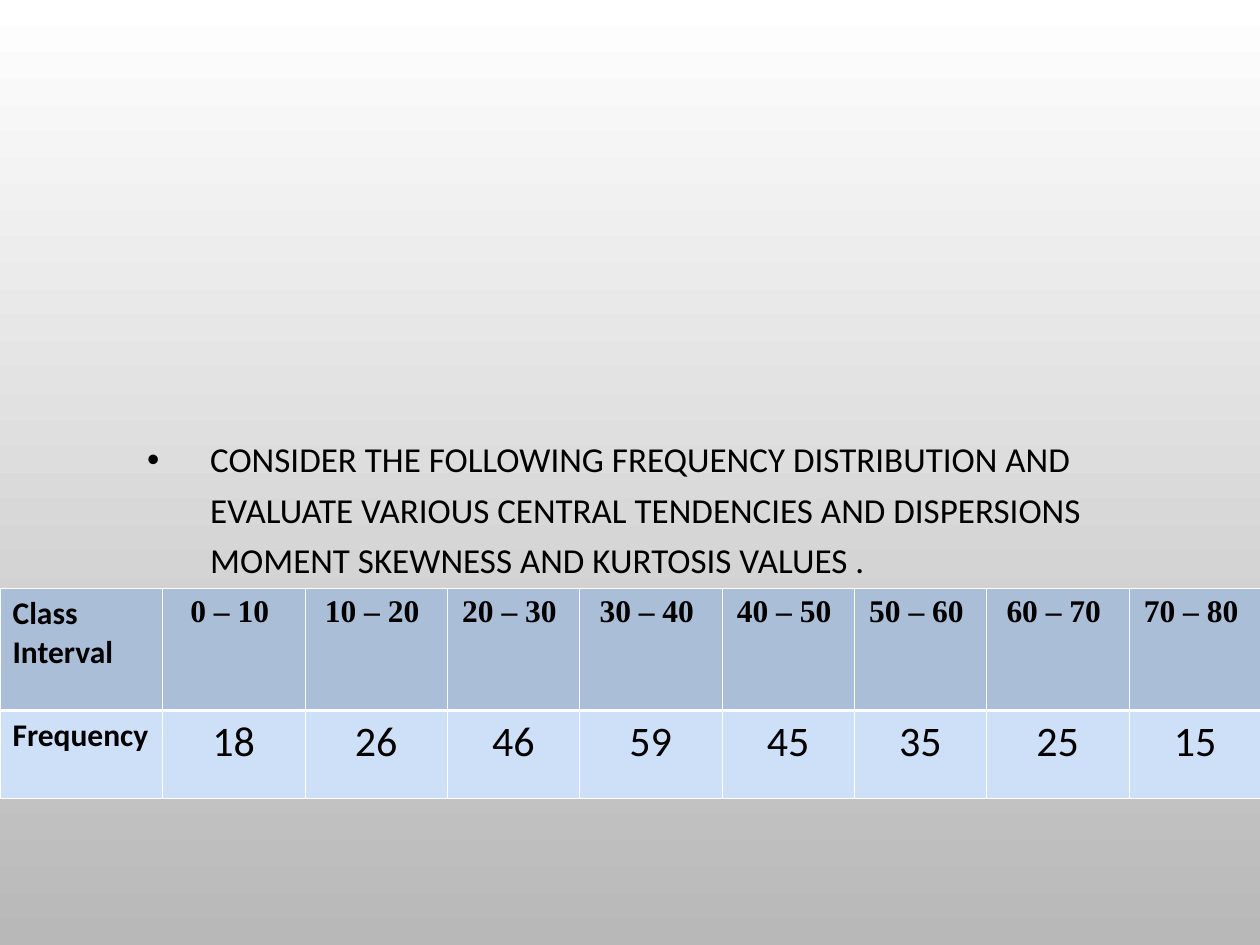
from dataclasses import dataclass

import pptx
import pptx.dml.color
import pptx.enum.text
import pptx.oxml
import pptx.oxml.ns
import pptx.util
from pptx.util import Inches

ALIGN = pptx.enum.text.PP_ALIGN
ANCHOR = pptx.enum.text.MSO_ANCHOR


@dataclass(frozen=True)
class Theme:
    ink: str = "000000"
    border: str = "FFFFFF"
    backdrop: tuple = ("FFFFFF", "B8B8B8")
    header_fill: str = "AABED7"
    body_fill: str = "CDE0F8"
    sans: str = "Calibri"
    serif: str = "Times New Roman"
    question_size: int = 20
    label_size: int = 18
    count_size: int = 24
    thin: float = 0.45
    thick: float = 1.47


@dataclass(frozen=True)
class TextStyle:
    font: str
    size: int
    bold: bool = False


@dataclass(frozen=True)
class TableRow:
    label: str
    values: list
    value_style: TextStyle
    fill: str
    height: float
    heavy_side: str


THEME = Theme()
LABEL = TextStyle(THEME.sans, THEME.label_size, True)
QUESTION = ("CONSIDER THE FOLLOWING FREQUENCY DISTRIBUTION AND EVALUATE VARIOUS "
            "CENTRAL TENDENCIES AND DISPERSIONS MOMENT SKEWNESS AND KURTOSIS VALUES .")
COLUMN_WIDTHS = [1.29, 1.13, 1.13, 1.05, 1.13, 1.05, 1.05, 1.13, 1.05]
ROWS = [
    TableRow("Class Interval", [f"{low} – {low + 10} " for low in range(0, 80, 10)],
             TextStyle(THEME.serif, THEME.label_size, True),
             THEME.header_fill, 0.97, "B"),
    TableRow("Frequency", [str(n) for n in (18, 26, 46, 59, 45, 35, 25, 15)],
             TextStyle(THEME.sans, THEME.count_size),
             THEME.body_fill, 0.7, "T"),
]


def rgb(value: str) -> pptx.dml.color.RGBColor:
    return pptx.dml.color.RGBColor.from_string(value)


def add_run(paragraph, text: str, style: TextStyle) -> None:
    run = paragraph.add_run()
    run.text = text
    run.font.name = style.font
    run.font.size = pptx.util.Pt(style.size)
    run.font.bold = style.bold
    run.font.color.rgb = rgb(THEME.ink)


def paint_background(slide) -> None:
    fill = slide.background.fill
    fill.gradient()
    fill.gradient_angle = 270
    for stop, position, color in zip(fill.gradient_stops, (0, 1), THEME.backdrop):
        stop.position = position
        stop.color.rgb = rgb(color)


def add_question(slide) -> None:
    box = slide.shapes.add_textbox(Inches(1.07), Inches(2.92), Inches(8.43), Inches(3.64))
    frame = box.text_frame
    frame.word_wrap = True
    frame.vertical_anchor = ANCHOR.MIDDLE
    frame.margin_bottom = Inches(1.51)  # keeps the text above the table
    paragraph = frame.paragraphs[0]
    paragraph.line_spacing = 1.2
    properties = paragraph._p.get_or_add_pPr()
    properties.set("marL", str(Inches(0.5)))
    properties.set("indent", str(Inches(-0.5)))
    namespace = pptx.oxml.ns.nsdecls("a")
    for bullet_part in (
        f'<a:buClr {namespace}><a:srgbClr val="{THEME.ink}"/></a:buClr>',
        f'<a:buFont {namespace} typeface="Arial"/>',
        f'<a:buChar {namespace} char="•"/>',
    ):
        properties.append(pptx.oxml.parse_xml(bullet_part))
    add_run(paragraph, QUESTION, TextStyle(THEME.sans, THEME.question_size))


def style_cell(cell, row: TableRow) -> None:
    # Borders come before the fill in the cell properties
    properties = cell._tc.get_or_add_tcPr()
    namespace = pptx.oxml.ns.nsdecls("a")
    for side in "LRTB":
        points = THEME.thick if side == row.heavy_side else THEME.thin
        properties.append(pptx.oxml.parse_xml(
            f'<a:ln{side} {namespace} w="{pptx.util.Pt(points)}"><a:solidFill>'
            f'<a:srgbClr val="{THEME.border}"/></a:solidFill></a:ln{side}>'))
    cell.fill.solid()
    cell.fill.fore_color.rgb = rgb(row.fill)


def add_frequency_table(slide) -> None:
    table = slide.shapes.add_table(
        len(ROWS), len(COLUMN_WIDTHS), Inches(0), Inches(4.67),
        Inches(10), Inches(sum(row.height for row in ROWS))).table
    for column, width in zip(table.columns, COLUMN_WIDTHS):
        column.width = Inches(width)
    for row_index, row in enumerate(ROWS):
        table.rows[row_index].height = Inches(row.height)
        for column_index, text in enumerate([row.label, *row.values]):
            cell = table.cell(row_index, column_index)
            style_cell(cell, row)
            paragraph = cell.text_frame.paragraphs[0]
            is_label = column_index == 0
            paragraph.alignment = ALIGN.LEFT if is_label else ALIGN.CENTER
            add_run(paragraph, text, LABEL if is_label else row.value_style)


def main() -> None:
    presentation = pptx.Presentation()
    presentation.slide_width = Inches(10)
    presentation.slide_height = Inches(7.5)
    slide = presentation.slides.add_slide(presentation.slide_layouts[6])
    paint_background(slide)
    add_question(slide)
    add_frequency_table(slide)
    presentation.save("out.pptx")


if __name__ == "__main__":
    main()
